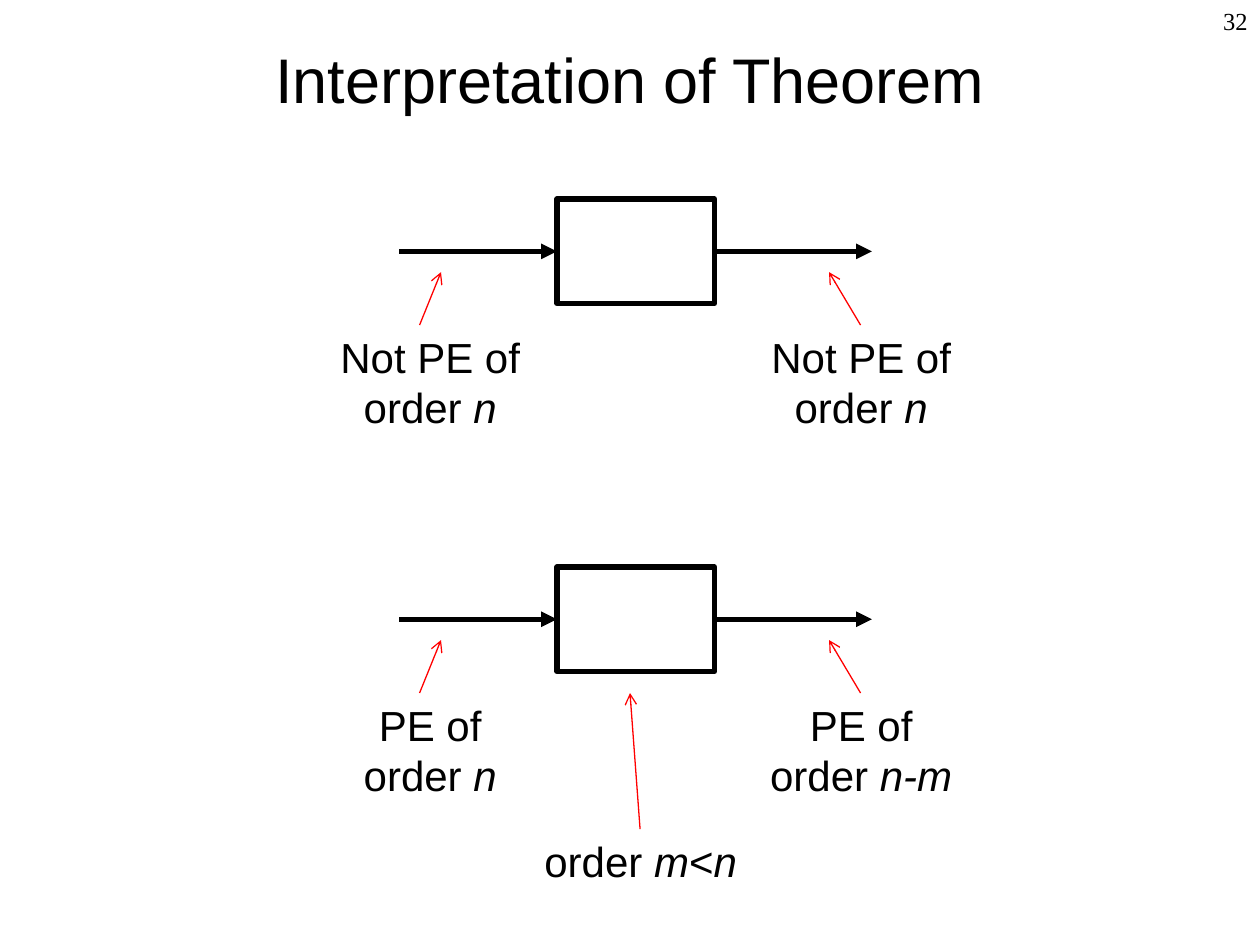
from dataclasses import dataclass

from lxml import etree
from pptx import Presentation
from pptx.dml.color import RGBColor
from pptx.enum.shapes import MSO_CONNECTOR, MSO_SHAPE
from pptx.enum.text import MSO_ANCHOR, MSO_AUTO_SIZE, PP_ALIGN
from pptx.oxml.ns import qn
from pptx.util import Inches, Pt

STRAIGHT = MSO_CONNECTOR.STRAIGHT
RECTANGLE = MSO_SHAPE.RECTANGLE
MIDDLE = MSO_ANCHOR.MIDDLE
FIT_SHAPE = MSO_AUTO_SIZE.SHAPE_TO_FIT_TEXT
CENTER, RIGHT = PP_ALIGN.CENTER, PP_ALIGN.RIGHT
LEFT_SIDE, RIGHT_SIDE = 1, 3
TITLE_ONLY = 5


@dataclass(frozen=True)
class Theme:
    ink: RGBColor = RGBColor(0, 0, 0)
    accent: RGBColor = RGBColor(255, 0, 0)
    font: str = "Arial"
    number_font: str = "Times New Roman"
    title_size: int = 36
    label_size: int = 24
    number_size: int = 14
    signal_width: float = 3
    pointer_width: float = 0.75


class SlideBuilder:
    def __init__(self, slide, theme):
        self.slide = slide
        self.theme = theme

    def style(self, paragraph, size, font, alignment):
        paragraph.alignment = alignment
        paragraph.font.size = Pt(size)
        paragraph.font.name = font
        paragraph.font.color.rgb = self.theme.ink

    def title(self, text, left, top, width, height):
        shape = self.slide.shapes.title
        shape.left, shape.top = Inches(left), Inches(top)
        shape.width, shape.height = Inches(width), Inches(height)
        shape.text_frame.text = text
        shape.text_frame.vertical_anchor = MIDDLE
        self.style(shape.text_frame.paragraphs[0], self.theme.title_size, self.theme.font, CENTER)

    def text_box(self, left, top, width, height):
        shape = self.slide.shapes.add_textbox(Inches(left), Inches(top), Inches(width), Inches(height))
        shape.text_frame.word_wrap = True
        return shape.text_frame

    def page_number(self, text, left, top, width, height):
        frame = self.text_box(left, top, width, height)
        frame.text = text
        self.style(frame.paragraphs[0], self.theme.number_size, self.theme.number_font, RIGHT)

    def label(self, runs, left, top, width, height):
        frame = self.text_box(left, top, width, height)
        frame.auto_size = FIT_SHAPE
        paragraph = frame.paragraphs[0]
        self.style(paragraph, self.theme.label_size, self.theme.font, CENTER)
        for text, italic in runs:
            run = paragraph.add_run()
            run.text = text
            run.font.italic = italic

    def system_block(self, left, top, width, height):
        shape = self.slide.shapes.add_shape(
            RECTANGLE, Inches(left), Inches(top), Inches(width), Inches(height))
        shape.shadow.inherit = False
        shape.fill.background()
        shape.line.color.rgb = self.theme.ink
        shape.line.width = Pt(self.theme.signal_width)
        return shape

    def arrow(self, start, end, color, width, head):
        connector = self.slide.shapes.add_connector(STRAIGHT, *map(Inches, start + end))
        connector.line.color.rgb = color
        connector.line.width = Pt(width)
        properties = connector._element.spPr
        etree.SubElement(properties.find(qn("a:ln")), qn("a:tailEnd"), type=head)
        etree.SubElement(properties, qn("a:effectLst"))
        return connector

    def signal(self, start, end):
        return self.arrow(start, end, self.theme.ink, self.theme.signal_width, "triangle")

    def pointer(self, start, end):
        return self.arrow(start, end, self.theme.accent, self.theme.pointer_width, "arrow")

    def system(self, top, input_runs, output_runs):
        left, width, height, signal_length = 4.42, 1.25, 0.83, 1.25
        middle, right = top + height / 2, left + width
        block = self.system_block(left, top, width, height)
        incoming = self.signal((left - signal_length, middle), (left, middle))
        incoming.end_connect(block, LEFT_SIDE)
        outgoing = self.signal((right, middle), (right + signal_length, middle))
        outgoing.begin_connect(block, RIGHT_SIDE)

        label_top = top + 1
        pointer_tip = label_top - 0.42
        self.label(input_runs, 2.58, label_top, 1.67, 0.91)
        self.label(output_runs, 6, label_top, 1.67, 0.91)
        self.pointer((6.83, label_top), (6.58, pointer_tip))
        self.pointer((3.33, label_top), (3.5, pointer_tip))


def main():
    presentation = Presentation()
    presentation.slide_width = Inches(10)
    presentation.slide_height = Inches(7.5)
    slide = presentation.slides.add_slide(presentation.slide_layouts[TITLE_ONLY])
    builder = SlideBuilder(slide, Theme())

    builder.title("Interpretation of Theorem", 0.75, 0, 8.5, 1.25)
    builder.page_number("32", 7.92, 0, 2.08, 0.5)

    not_exciting = [("Not PE of order ", False), ("n", True)]
    builder.system(1.58, not_exciting, not_exciting)
    builder.system(4.5, [("PE of order ", False), ("n", True)],
                   [("PE of order ", False), ("n-m", True)])

    builder.label([("order ", False), ("m", True), ("<", False), ("n", True)],
                  4.17, 6.58, 1.83, 0.5)
    builder.pointer((5.08, 6.58), (5, 5.5))

    presentation.save("out.pptx")


if __name__ == "__main__":
    main()
